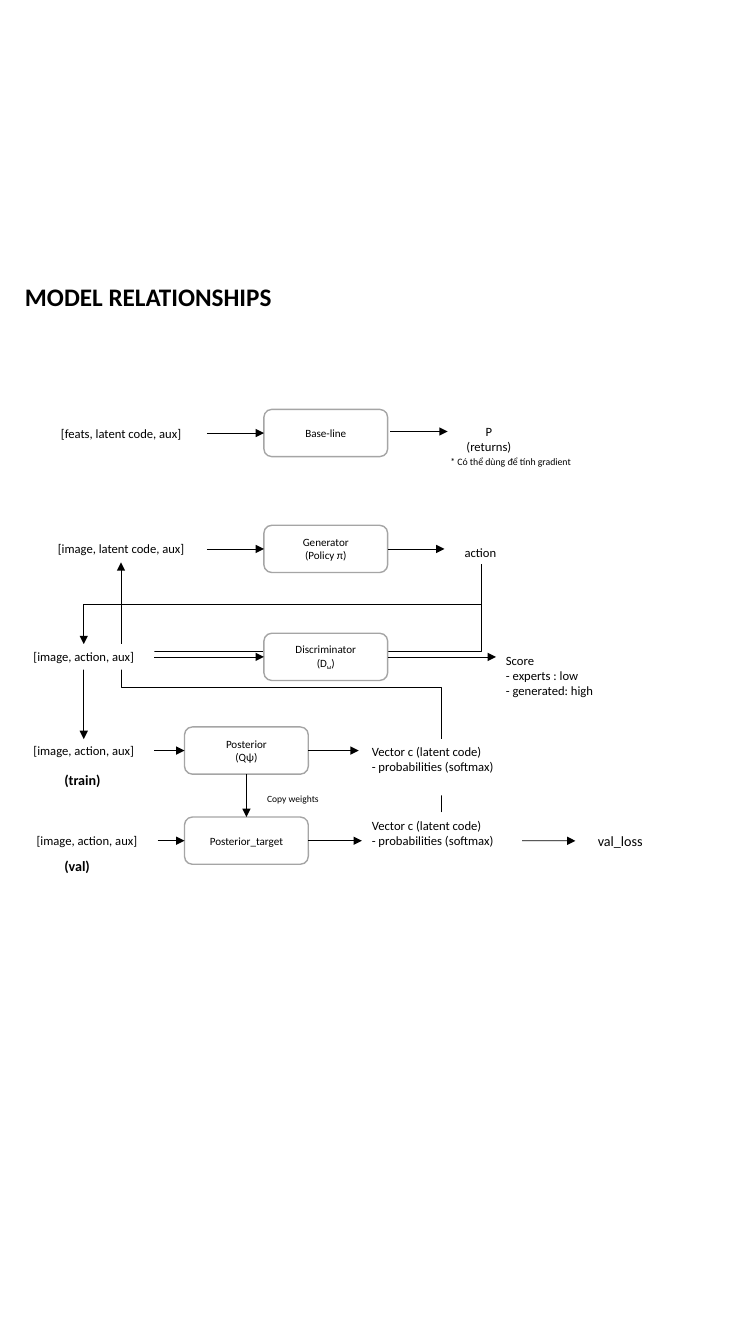
from copy import deepcopy

from lxml import etree
from pptx import Presentation
from pptx.dml.color import RGBColor
from pptx.enum.shapes import MSO_CONNECTOR, MSO_SHAPE
from pptx.enum.text import MSO_ANCHOR, PP_ALIGN
from pptx.oxml.ns import qn
from pptx.util import Cm, Pt

STRAIGHT, ELBOW = MSO_CONNECTOR.STRAIGHT, MSO_CONNECTOR.ELBOW
ROUNDED = MSO_SHAPE.ROUNDED_RECTANGLE
LEFT, CENTER = PP_ALIGN.LEFT, PP_ALIGN.CENTER
TOP, MIDDLE = MSO_ANCHOR.TOP, MSO_ANCHOR.MIDDLE
BOTTOM_SIDE, TOP_SIDE, LEFT_SIDE, RIGHT_SIDE = 2, 0, 1, 3

BASELINE, GENERATOR, DISCRIMINATOR, TRAIN, VALIDATION = 10.91, 13.83, 16.55, 18.91, 21.18
BOX_WIDTH, BOX_HEIGHT = 3.12, 1.19
INPUT_HEIGHT = 0.64
MODEL_LEFT, POSTERIOR_LEFT = 6.65, 4.65
MODEL_RIGHT = MODEL_LEFT + BOX_WIDTH
ACTION_X, TRAIN_INPUT_X, VECTOR_X, LATENT_X = 12.12, 2.11, 11.13, 3.05


def color(value):
    return RGBColor.from_string(value)


class Diagram:
    font_name = "Calibri"
    ink = "000000"
    paper = "FFFFFF"
    border = "A5A5A5"

    def __init__(self, slide):
        self.slide = slide

    def set_text(self, shape, paragraphs, size, align, bold=False, anchor=TOP, margins=(0.25, 0.13)):
        frame = shape.text_frame
        across, down = (Cm(margin) for margin in margins)
        frame_format = {
            "word_wrap": True, "vertical_anchor": anchor,
            "margin_left": across, "margin_right": across,
            "margin_top": down, "margin_bottom": down,
        }
        for name, value in frame_format.items():
            setattr(frame, name, value)
        for index, text in enumerate(paragraphs):
            paragraph = frame.add_paragraph() if index else frame.paragraphs[0]
            paragraph.alignment = align
            first, *others = text.split("~")
            paragraph.text = first
            for piece in others:
                paragraph.add_run().text = piece
            font_format = {"name": self.font_name, "size": Pt(size), "bold": bold}
            for run in paragraph.runs:
                for name, value in font_format.items():
                    setattr(run.font, name, value)
                run.font.color.rgb = color(self.ink)
            run_properties = paragraph.runs[0]._r.find(qn("a:rPr"))
            for line_break in paragraph._p.findall(qn("a:br")):
                line_break.insert(0, deepcopy(run_properties))
            if others:
                subscript = paragraph.runs[-2]._r.find(qn("a:rPr"))
                subscript.set("baseline", "-25000")

    def text(self, left, top, width, height, *paragraphs, size=9, align=LEFT, bold=False, filled=False):
        shape = self.slide.shapes.add_textbox(Cm(left), Cm(top), Cm(width), Cm(height))
        if filled:
            shape.fill.solid()
            shape.fill.fore_color.rgb = color(self.paper)
        self.set_text(shape, paragraphs, size, align, bold)
        return shape

    def model_input(self, left, row, width, label, filled=False):
        return self.text(left, row - INPUT_HEIGHT / 2, width, INPUT_HEIGHT, label,
                         align=CENTER, filled=filled)

    def model(self, left, row, label):
        shape = self.slide.shapes.add_shape(
            ROUNDED, Cm(left), Cm(row - BOX_HEIGHT / 2), Cm(BOX_WIDTH), Cm(BOX_HEIGHT))
        shape.shadow.inherit = False
        shape.fill.solid()
        shape.fill.fore_color.rgb = color(self.paper)
        shape.line.color.rgb = color(self.border)
        shape.line.width = Pt(1)
        self.set_text(shape, [label], 7.9, CENTER, anchor=MIDDLE, margins=(0.15, 0.08))
        return shape

    def connector(self, kind, start, end):
        connector = self.slide.shapes.add_connector(kind, *(Cm(value) for value in (*start, *end)))
        connector.line.color.rgb = color(self.ink)
        connector.line.width = Pt(0.5)
        properties = connector._element.spPr
        etree.SubElement(properties.find(qn("a:ln")), qn("a:tailEnd"), type="triangle")
        etree.SubElement(properties, qn("a:effectLst"))
        return connector

    def arrow(self, start, end):
        return self.connector(STRAIGHT, start, end)

    def join(self, source, target, source_side=RIGHT_SIDE, target_side=LEFT_SIDE):
        connector = self.arrow((0, 0), (1, 1))
        connector.begin_connect(source, source_side)
        connector.end_connect(target, target_side)

    def leave(self, source, end):
        connector = self.arrow((0, end[1]), end)
        connector.begin_connect(source, RIGHT_SIDE)

    def elbow(self, start, end):
        middle_x, middle_y = ((a + b) / 2 for a, b in zip(start, end))
        half_height = abs(end[1] - start[1]) / 2
        half_width = abs(end[0] - start[0]) / 2
        downward = end[1] > start[1]
        offset = half_width if downward else -half_width
        connector = self.connector(ELBOW, (middle_x - half_height, middle_y - offset),
                                   (middle_x + half_height, middle_y + offset))
        angle = 90 if downward else 270
        connector._element.spPr.find(qn("a:xfrm")).set("rot", str(angle * 60000))


def main():
    presentation = Presentation()
    presentation.slide_width, presentation.slide_height = Cm(19.05), Cm(33.86)
    slide = presentation.slides.add_slide(presentation.slide_layouts[6])
    diagram = Diagram(slide)

    diagram.elbow((ACTION_X, 14.22), (TRAIN_INPUT_X, 16.23))
    diagram.elbow((ACTION_X, 14.22), (TRAIN_INPUT_X, 18.62))
    diagram.elbow((VECTOR_X, 20.47), (LATENT_X, 14.17))

    diagram.text(0.38, 6.96, 7.37, 1.02, "MODEL RELATIONSHIPS", size=18, bold=True)

    rows = [
        (0.89, 4.32, "[feats, latent code, aux]", MODEL_LEFT, BASELINE, "Base-line"),
        (0.89, 4.32, "[image, latent code, aux]", MODEL_LEFT, GENERATOR, "Generator\n(Policy π)"),
        (0.33, 3.56, "[image, action, aux]", MODEL_LEFT, DISCRIMINATOR, "Discriminator\n(D~ω~)"),
        (0.33, 3.56, "[image, action, aux]", POSTERIOR_LEFT, TRAIN, "Posterior\n(Qψ)"),
        (0.41, 3.56, "[image, action, aux]", POSTERIOR_LEFT, VALIDATION, "Posterior_target"),
    ]
    models = {}
    for input_left, width, label, model_left, row, name in rows:
        source = diagram.model_input(input_left, row, width, label, filled=row == DISCRIMINATOR)
        models[row] = diagram.model(model_left, row, name)
        diagram.join(source, models[row])

    diagram.arrow((MODEL_RIGHT + 0.06, BASELINE - 0.04), (11.28, BASELINE - 0.04))
    for row, end_x in ((GENERATOR, 11.2), (DISCRIMINATOR, 12.5), (TRAIN, 9.04)):
        diagram.leave(models[row], (end_x, row))
    diagram.join(models[TRAIN], models[VALIDATION], BOTTOM_SIDE, TOP_SIDE)

    diagram.text(11.2, 10.54, 2.24, 1.02, "P\n(returns)", align=CENTER)
    diagram.text(11.1, 11.35, 7.9, 0.56, "* Có thể dùng để tính gradient", size=7)
    diagram.text(11.33, 13.59, 1.55, INPUT_HEIGHT, "action", align=CENTER)
    diagram.text(12.5, 16.31, 4.04, 1.42, "Score\n- experts : low", "- generated: high")
    diagram.text(6.48, 19.86, 3.3, 0.53, "Copy weights", size=6.8)
    for label, top in (("(train)", 19.3), ("(val)", 21.46)):
        diagram.text(1.37, top, 1.8, 0.69, label, size=10.1, bold=True)

    vector = "Vector c (latent code) \n- probabilities (softmax)"
    diagram.text(9.12, 18.62, 4.04, 1.42, vector, filled=True)
    validation_vector = diagram.text(9.12, 20.47, 4.04, 1.42, vector)
    loss = diagram.text(14.5, 20.84, 2.26, 0.69, "val_loss", size=10.1, align=CENTER)
    diagram.join(models[VALIDATION], validation_vector)
    diagram.join(validation_vector, loss)

    presentation.save("out.pptx")


if __name__ == "__main__":
    main()
